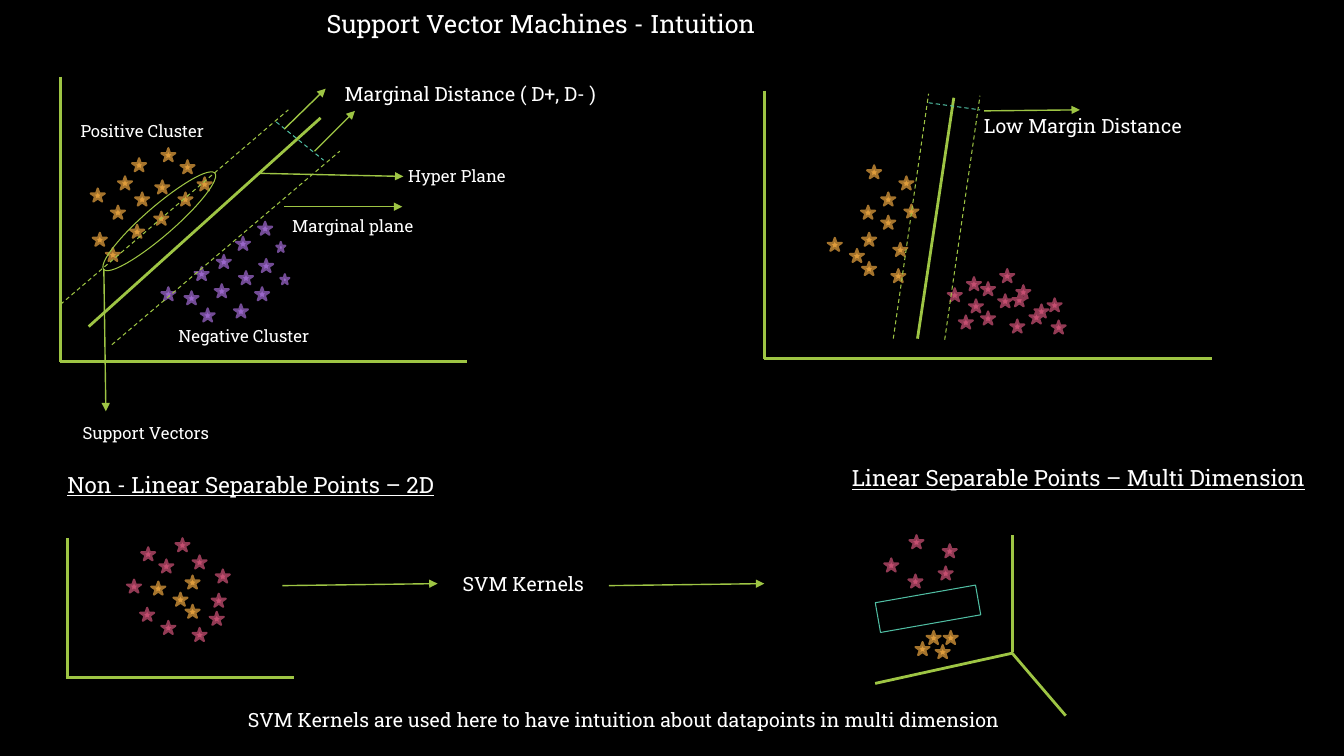
import lxml.etree
import pptx
import pptx.dml.color
import pptx.enum.dml
import pptx.enum.shapes
import pptx.enum.text
import pptx.oxml.ns
import pptx.util

RGBColor = pptx.dml.color.RGBColor
BLACK = RGBColor(0x00, 0x00, 0x00)
WHITE = RGBColor(0xFF, 0xFF, 0xFF)
GREEN = RGBColor(0x9E, 0xC5, 0x44)
TEAL = RGBColor(0x50, 0xBE, 0xA3)
ORANGE = RGBColor(0xDE, 0x9C, 0x3C)
ORANGE_EDGE = RGBColor(0xA4, 0x73, 0x2C)
PURPLE = RGBColor(0x9A, 0x66, 0xCA)
PURPLE_EDGE = RGBColor(0x72, 0x4B, 0x95)
PINK = RGBColor(0xC5, 0x4F, 0x71)
PINK_EDGE = RGBColor(0x92, 0x3A, 0x54)
ORANGE_STAR = (ORANGE, ORANGE_EDGE)
PURPLE_STAR = (PURPLE, PURPLE_EDGE)
PINK_STAR = (PINK, PINK_EDGE)
Shape = pptx.enum.shapes.MSO_SHAPE


class Diagram:
    """Draws styled elements on one slide, with 100 px to the inch."""

    font = "Roboto Slab"
    scale = 9144

    def __init__(self, presentation):
        presentation.slide_width = self.emu(1333)
        presentation.slide_height = self.emu(750)
        self.slide = presentation.slides.add_slide(presentation.slide_layouts[6])
        self.slide.background.fill.solid()
        self.slide.background.fill.fore_color.rgb = BLACK

    def emu(self, px):
        return pptx.util.Emu(px * self.scale)

    def box(self, *lengths):
        return [self.emu(length) for length in lengths]

    def text(self, left, top, width, height, words, size, underline=None):
        shape = self.slide.shapes.add_textbox(*self.box(left, top, width, height))
        frame = shape.text_frame
        frame.text = words
        frame.word_wrap = True
        frame.auto_size = pptx.enum.text.MSO_AUTO_SIZE.SHAPE_TO_FIT_TEXT
        font = frame.paragraphs[0].runs[0].font
        font.name = self.font
        font.size = pptx.util.Pt(size)
        font.color.rgb = WHITE
        font.underline = underline

    def line(self, x1, y1, x2, y2, width=2, color=GREEN):
        connector = self.slide.shapes.add_connector(
            pptx.enum.shapes.MSO_CONNECTOR.STRAIGHT, *self.box(x1, y1, x2, y2))
        connector.line.width = pptx.util.Pt(width)
        connector.line.color.rgb = color
        lxml.etree.SubElement(connector.element.spPr, pptx.oxml.ns.qn("a:effectLst"))
        return connector

    def dashed(self, x1, y1, x2, y2, color=GREEN):
        connector = self.line(x1, y1, x2, y2, 0.75, color)
        connector.line.dash_style = pptx.enum.dml.MSO_LINE.DASH

    def arrow(self, x1, y1, x2, y2):
        connector = self.line(x1, y1, x2, y2, 1)
        outline = connector.element.spPr.find(pptx.oxml.ns.qn("a:ln"))
        lxml.etree.SubElement(outline, pptx.oxml.ns.qn("a:tailEnd"), type="triangle")

    def shape(self, kind, left, top, width, height, edge, weight=0.75):
        shape = self.slide.shapes.add_shape(kind, *self.box(left, top, width, height))
        shape.shadow.inherit = False
        shape.fill.background()
        shape.line.color.rgb = edge
        shape.line.width = pptx.util.Pt(weight)
        return shape

    def stars(self, colors, points, width=14, height=13):
        fill, edge = colors
        for left, top in points:
            star = self.shape(Shape.STAR_5_POINT, left, top, width, height, edge, 1.5)
            star.fill.solid()
            star.fill.fore_color.rgb = fill


def draw_wide_margin(diagram):
    diagram.line(60, 76, 60, 359)
    diagram.line(60, 359, 463, 359)
    diagram.stars(ORANGE_STAR, [
        (117, 175), (110, 204), (90, 187), (154, 179), (134, 191), (129, 223), (153, 210),
        (177, 191), (131, 157), (196, 176), (105, 246), (92, 231), (179, 159), (160, 147)])
    diagram.stars(PURPLE_STAR, [
        (215, 253), (213, 282), (193, 265), (257, 257), (237, 269), (232, 302),
        (253, 285), (234, 235), (199, 306), (183, 289), (256, 220), (160, 285)])
    diagram.stars(PURPLE_STAR, [(274, 240), (278, 272)], 9, 10)
    diagram.line(88, 324, 318, 117)
    diagram.dashed(60, 302, 286, 109)
    diagram.dashed(111, 342, 337, 150)
    diagram.dashed(274, 121, 321, 159, TEAL)
    diagram.arrow(258, 172, 400, 175)
    diagram.arrow(282, 205, 399, 205)
    diagram.arrow(282, 128, 323, 88)
    diagram.arrow(312, 150, 352, 110)
    support_ring = diagram.shape(Shape.OVAL, 85, 205, 146, 29, GREEN)
    support_ring.rotation = 319.1
    diagram.arrow(103, 267, 105, 408)
    diagram.text(70, 115, 242, 30, "Positive Cluster", 12)
    diagram.text(167, 318, 242, 30, "Negative Cluster", 12)
    diagram.text(395, 160, 163, 30, "Hyper Plane", 12)
    diagram.text(280, 209, 258, 30, "Marginal plane", 12)
    diagram.text(332, 76, 360, 34, "Marginal Distance ( D+, D- )", 14)
    diagram.text(72, 414, 265, 30, "Support Vectors", 12)


def draw_low_margin(diagram):
    diagram.line(758, 90, 758, 356)
    diagram.line(758, 356, 1202, 356)
    diagram.stars(ORANGE_STAR, [
        (860, 164), (843, 247), (821, 236), (874, 191), (854, 204), (855, 260),
        (855, 231), (874, 214), (884, 267), (886, 241), (892, 175), (897, 203)])
    diagram.stars(PINK_STAR, [
        (959, 275), (961, 297), (940, 286), (992, 267), (951, 313), (973, 309), (973, 280),
        (990, 292), (1002, 317), (1004, 291), (1026, 302), (1008, 283), (1021, 308),
        (1039, 296), (1043, 318)])
    diagram.line(910, 336, 946, 97)
    diagram.dashed(886, 336, 921, 93)
    diagram.dashed(937, 337, 972, 95)
    diagram.dashed(921, 102, 972, 109, TEAL)
    diagram.arrow(976, 110, 1071, 109)
    diagram.text(966, 108, 304, 34, "Low Margin Distance", 14)


def draw_flat_points(diagram):
    diagram.text(57, 462, 403, 37, "Non - Linear Separable Points – 2D", 16, True)
    diagram.line(67, 534, 67, 672)
    diagram.line(65, 672, 292, 672)
    diagram.stars(ORANGE_STAR, [(172, 588), (150, 577), (184, 600), (184, 571)])
    diagram.stars(PINK_STAR, [
        (158, 555), (210, 589), (191, 551), (214, 565), (160, 616), (139, 603),
        (126, 575), (140, 543), (174, 534), (191, 623), (208, 607)])


def draw_lifted_points(diagram):
    diagram.text(835, 456, 498, 37, "Linear Separable Points – Multi Dimension", 16, True)
    diagram.line(1004, 531, 1004, 647)
    diagram.line(1004, 648, 868, 678)
    diagram.line(1003, 647, 1057, 710)
    diagram.stars(PINK_STAR, [(931, 562), (877, 554), (901, 570), (902, 531), (935, 540)])
    separating_plane = diagram.shape(Shape.RECTANGLE, 870, 589, 101, 30, TEAL)
    separating_plane.rotation = 350
    diagram.stars(ORANGE_STAR, [(936, 626), (908, 637), (928, 640), (919, 626)])


def main():
    presentation = pptx.Presentation()
    diagram = Diagram(presentation)
    diagram.text(314, 3, 1019, 40, "Support Vector Machines - Intuition", 18)
    draw_wide_margin(diagram)
    draw_low_margin(diagram)
    draw_flat_points(diagram)
    draw_lifted_points(diagram)
    diagram.text(449, 562, 194, 34, "SVM Kernels", 14)
    for left in (280, 604):
        diagram.arrow(left, 581, left + 154, 579)
    diagram.text(236, 697, 801, 34, "SVM Kernels are used here to have intuition "
                 "about datapoints in multi dimension", 14)
    presentation.save("out.pptx")


if __name__ == "__main__":
    main()
